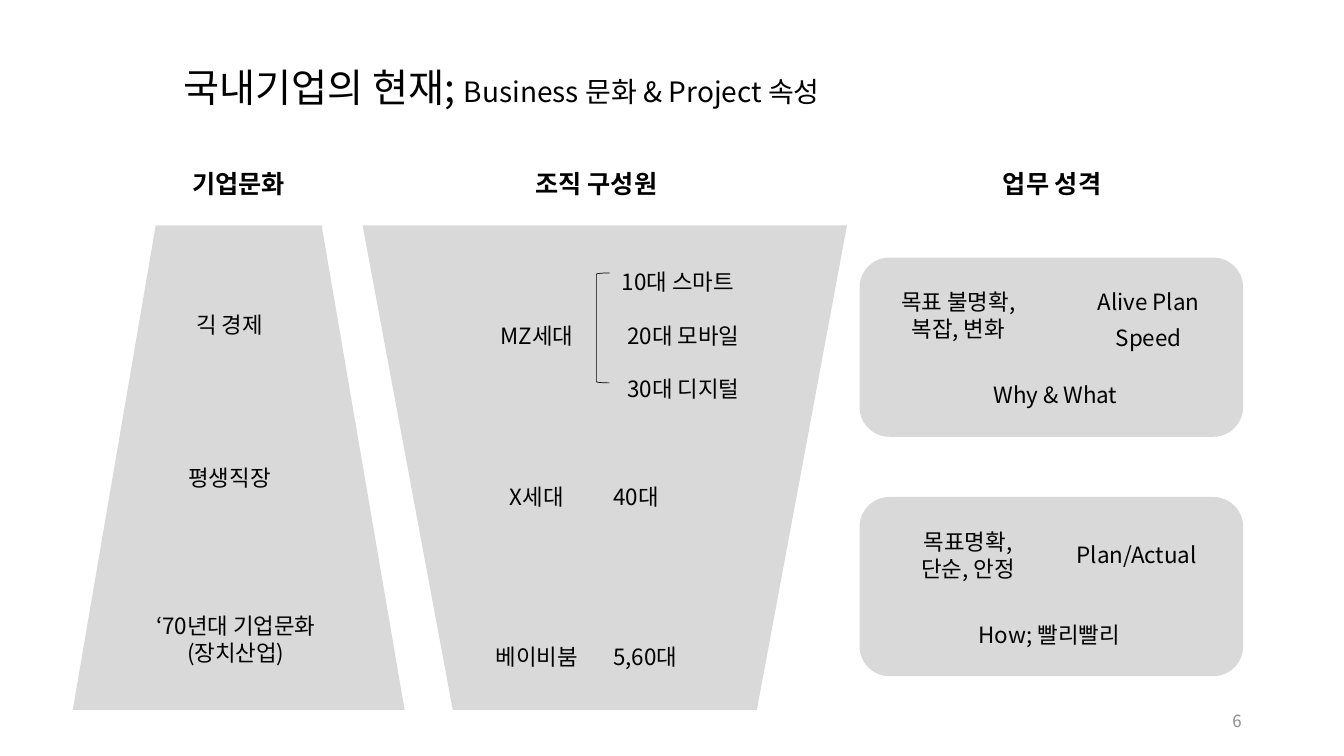
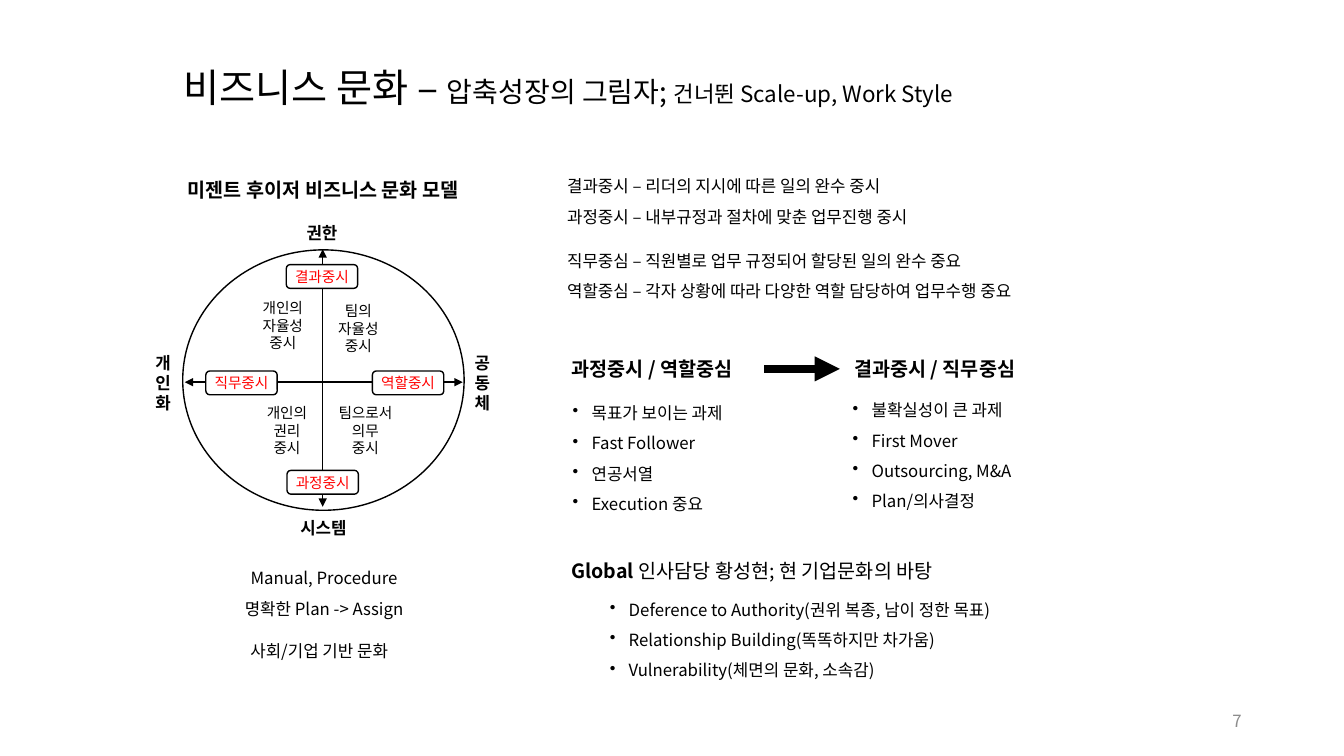
from lxml.etree import SubElement
from pptx import Presentation
from pptx.dml.color import RGBColor
from pptx.enum.shapes import MSO_CONNECTOR, MSO_SHAPE
from pptx.enum.text import MSO_ANCHOR, PP_ALIGN
from pptx.oxml.ns import qn
from pptx.util import Pt

FONT = "Noto Sans CJK KR"
BLACK = RGBColor(0x00, 0x00, 0x00)
WHITE = RGBColor(0xFF, 0xFF, 0xFF)
PANEL = RGBColor(0xD9, 0xD9, 0xD9)
RED = RGBColor(0xFF, 0x00, 0x00)
GRAY = RGBColor(0x8C, 0x8C, 0x8C)

LEFT, CENTER, RIGHT = PP_ALIGN.LEFT, PP_ALIGN.CENTER, PP_ALIGN.RIGHT
LINE_HEIGHT = 1.2
BULLET_INDENT = 13.5


def apply_font(font, properties, size, bold, color):
    """Style a font; properties is its XML element, which also needs the East Asian face."""
    font.size = Pt(size)
    font.bold = bold
    font.color.rgb = color
    font.name = FONT
    SubElement(properties, qn("a:ea")).set("typeface", FONT)


def add_bullet(paragraph):
    properties = paragraph._p.get_or_add_pPr()
    properties.set("marL", str(Pt(BULLET_INDENT)))
    properties.set("indent", str(-Pt(BULLET_INDENT)))
    bullet = SubElement(properties, qn("a:buChar"))
    bullet.set("char", "•")
    properties.find(qn("a:defRPr")).addprevious(bullet)


class SlideWriter:
    """Holds the deck, its style and the slide being filled."""

    def __init__(self):
        self.deck = Presentation()
        self.deck.slide_width, self.deck.slide_height = Pt(960), Pt(540)
        self.page = None

    def start_page(self, number, title_spans):
        self.page = self.deck.slides.add_slide(self.deck.slide_layouts[6])
        self.rich_text(124, 42, 680, 41, title_spans)
        self.text(678, 500, 216, 29, str(number), size=12, color=GRAY,
                  align=RIGHT, anchor=MSO_ANCHOR.MIDDLE)

    def add_frame(self, left, top, width, height, anchor=MSO_ANCHOR.TOP):
        box = self.page.shapes.add_textbox(Pt(left), Pt(top), Pt(width), Pt(height))
        box.text_frame.word_wrap = True
        box.text_frame.vertical_anchor = anchor
        return box.text_frame

    def fill_frame(self, frame, text, size, bold, color, align, spacing, bullets=False):
        frame.text = text
        for paragraph in frame.paragraphs:
            paragraph.alignment = align
            paragraph.line_spacing = Pt(round(size * LINE_HEIGHT * spacing, 1))
            font = paragraph.font
            apply_font(font, paragraph._p.pPr.find(qn("a:defRPr")), size, bold, color)
            if bullets:
                add_bullet(paragraph)

    def text(self, left, top, width, height, text, size=16, bold=False, color=BLACK,
             align=CENTER, spacing=1, bullets=False, anchor=MSO_ANCHOR.TOP):
        frame = self.add_frame(left, top, width, height, anchor)
        self.fill_frame(frame, text, size, bold, color, align, spacing, bullets)

    def rich_text(self, left, top, width, height, spans):
        """One line of spans, each given as (text, size, bold)."""
        paragraph = self.add_frame(left, top, width, height).paragraphs[0]
        paragraph.line_spacing = Pt(round(max(size for _, size, _ in spans) * LINE_HEIGHT, 1))
        for text, size, bold in spans:
            span = paragraph.add_run()
            span.text = text
            apply_font(span.font, span._r.get_or_add_rPr(), size, bold, BLACK)

    def shape(self, kind, left, top, width, height, fill=None, line_width=None):
        shape = self.page.shapes.add_shape(kind, Pt(left), Pt(top), Pt(width), Pt(height))
        shape.shadow.inherit = False
        if fill is None:
            shape.fill.background()
        else:
            shape.fill.solid()
            shape.fill.fore_color.rgb = fill
        if line_width is None:
            shape.line.fill.background()
        else:
            shape.line.color.rgb = BLACK
            shape.line.width = Pt(line_width)
        return shape

    def tag(self, left, top, text):
        tag = self.shape(MSO_SHAPE.ROUNDED_RECTANGLE, left, top, 51, 17, WHITE, 1)
        frame = tag.text_frame
        frame.margin_left = frame.margin_right = frame.margin_top = frame.margin_bottom = 0
        frame.vertical_anchor = MSO_ANCHOR.MIDDLE
        self.fill_frame(frame, text, 10.5, False, RED, CENTER, 1)

    def arrow(self, start, end, width, ends=("tailEnd",)):
        points = [Pt(value) for value in (*start, *end)]
        arrow = self.page.shapes.add_connector(MSO_CONNECTOR.STRAIGHT, *points)
        arrow.line.color.rgb = BLACK
        arrow.line.width = Pt(width)
        for end_name in ends:
            SubElement(arrow.line._get_or_add_ln(), qn(f"a:{end_name}")).set("type", "triangle")
        SubElement(arrow._element.spPr, qn("a:effectLst"))


def build_present_state(writer):
    writer.start_page(6, [("국내기업의 현재; ", 28, False),
                          ("Business 문화 & Project 속성", 20, False)])
    for top in (355, 184):
        writer.shape(MSO_SHAPE.ROUNDED_RECTANGLE, 614, top, 274, 128, PANEL)
    funnel = writer.shape(MSO_SHAPE.TRAPEZOID, 259, 161, 346, 346, PANEL)
    funnel.adjustments[0] = 0.186
    funnel.rotation = 180
    writer.shape(MSO_SHAPE.TRAPEZOID, 52, 161, 237, 346, PANEL)
    writer.shape(MSO_SHAPE.LEFT_BRACKET, 426, 195, 9.5, 78.5, line_width=0.5)

    for left, width, heading in ((120, 101, "기업문화"), (366, 120, "조직 구성원"),
                                 (701, 101, "업무 성격")):
        writer.text(left, 117, width, 29, heading, size=18, bold=True)

    for left, top, width, text in (
            (103, 219, 122, "긱 경제"),
            (103, 328, 122, "평생직장"),
            (76, 434, 185, "‘70년대 기업문화\n(장치산업)"),
            (603, 202, 163, "목표 불명확,\n복잡, 변화"),
            (762, 202, 117, "Alive Plan"),
            (762, 228, 117, "Speed"),
            (678, 269, 152, "Why & What"),
            (633, 374, 117, "목표명확,\n단순, 안정"),
            (747, 383, 130, "Plan/Actual"),
            (687, 440, 125, "How; 빨리빨리")):
        writer.text(left, top, width, 27 + 19 * text.count("\n"), text)

    first_row, row_step = 188, 38.3
    for row, generation in ((1, "MZ세대"), (4, "X세대"), (7, "베이비붐")):
        writer.text(314, first_row + row * row_step, 139, 27, generation)
    for row, left, age in ((0, 437, "10대 스마트"), (1, 441, "20대 모바일"),
                           (2, 441, "30대 디지털"), (4, 431, "40대"), (7, 431, "5,60대")):
        writer.text(left, first_row + row * row_step, 120, 27, age, align=LEFT)


def build_culture_model(writer):
    writer.start_page(7, [("비즈니스 문화 – ", 28, False), ("압축성장의 그림자; ", 20, False),
                          ("건너뛴 Scale-up, Work Style", 16, False)])
    writer.text(116, 115, 230, 30, "미젠트 후이저 비즈니스 문화 모델",
                size=14, bold=True, spacing=1.5)

    writer.shape(MSO_SHAPE.OVAL, 130.5, 178.5, 201, 186, line_width=1)
    both_ends = ("headEnd", "tailEnd")
    writer.arrow((132, 273), (330.5, 273), 1, both_ends)
    writer.arrow((230.5, 362), (230.5, 178), 1, both_ends)
    for left, top, focus in ((266, 265, "역할중시"), (204.5, 189, "결과중시"),
                             (147, 265, "직무중시"), (205, 336, "과정중시")):
        writer.tag(left, top, focus)
    for left, top, pole in ((200, 155.5, "권한"), (314.5, 248.5, "공\n동\n체"),
                            (86.5, 248.5, "개\n인\n화"), (201, 366, "시스템")):
        writer.text(left, top, 60, 22, pole, size=12, bold=True)
    for left, top, value in ((172, 210, "개인의\n자율성\n중시"), (226, 212, "팀의\n자율성\n중시"),
                             (175, 285, "개인의\n권리\n중시"), (231, 285, "팀으로서\n의무\n중시")):
        writer.text(left, top, 60, 45, value, size=10.5)

    for left, top, width, note in (
            (161, 395, 141, "Manual, Procedure\n명확한 Plan -> Assign"),
            (161, 447, 134, "사회/기업 기반 문화")):
        writer.text(left, top, width, 26, note, size=12, spacing=1.5)

    for top, definitions in (
            (115, "결과중시 – 리더의 지시에 따른 일의 완수 중시\n"
                  "과정중시 – 내부규정과 절차에 맞춘 업무진행 중시"),
            (168.5, "직무중심 – 직원별로 업무 규정되어 할당된 일의 완수 중요\n"
                    "역할중심 – 각자 상황에 따라 다양한 역할 담당하여 업무수행 중요")):
        writer.text(398, top, 372, 50, definitions, size=12, align=LEFT, spacing=1.5)

    for left, heading in ((401, "과정중시 / 역할중심"), (603, "결과중시 / 직무중심")):
        writer.text(left, 251.5, 160, 24, heading, size=14, bold=True, align=LEFT)
    writer.arrow((546, 263.5), (600, 263.5), 6)

    for left, top, width, points in (
            (402, 277, 190, "목표가 보이는 과제\nFast Follower\n연공서열\nExecution 중요"),
            (602, 275, 190, "불확실성이 큰 과제\nFirst Mover\nOutsourcing, M&A\nPlan/의사결정"),
            (428.5, 417.5, 330, "Deference to Authority(권위 복종, 남이 정한 목표)\n"
                                "Relationship Building(똑똑하지만 차가움)\n"
                                "Vulnerability(체면의 문화, 소속감)")):
        writer.text(left, top, width, 70, points, size=12, align=LEFT, spacing=1.5, bullets=True)
    writer.rich_text(401, 396, 327, 24, [("Global ", 14, True),
                                         ("인사담당 황성현; 현 기업문화의 바탕", 14, False)])


def main():
    writer = SlideWriter()
    build_present_state(writer)
    build_culture_model(writer)
    writer.deck.save("out.pptx")


if __name__ == "__main__":
    main()
